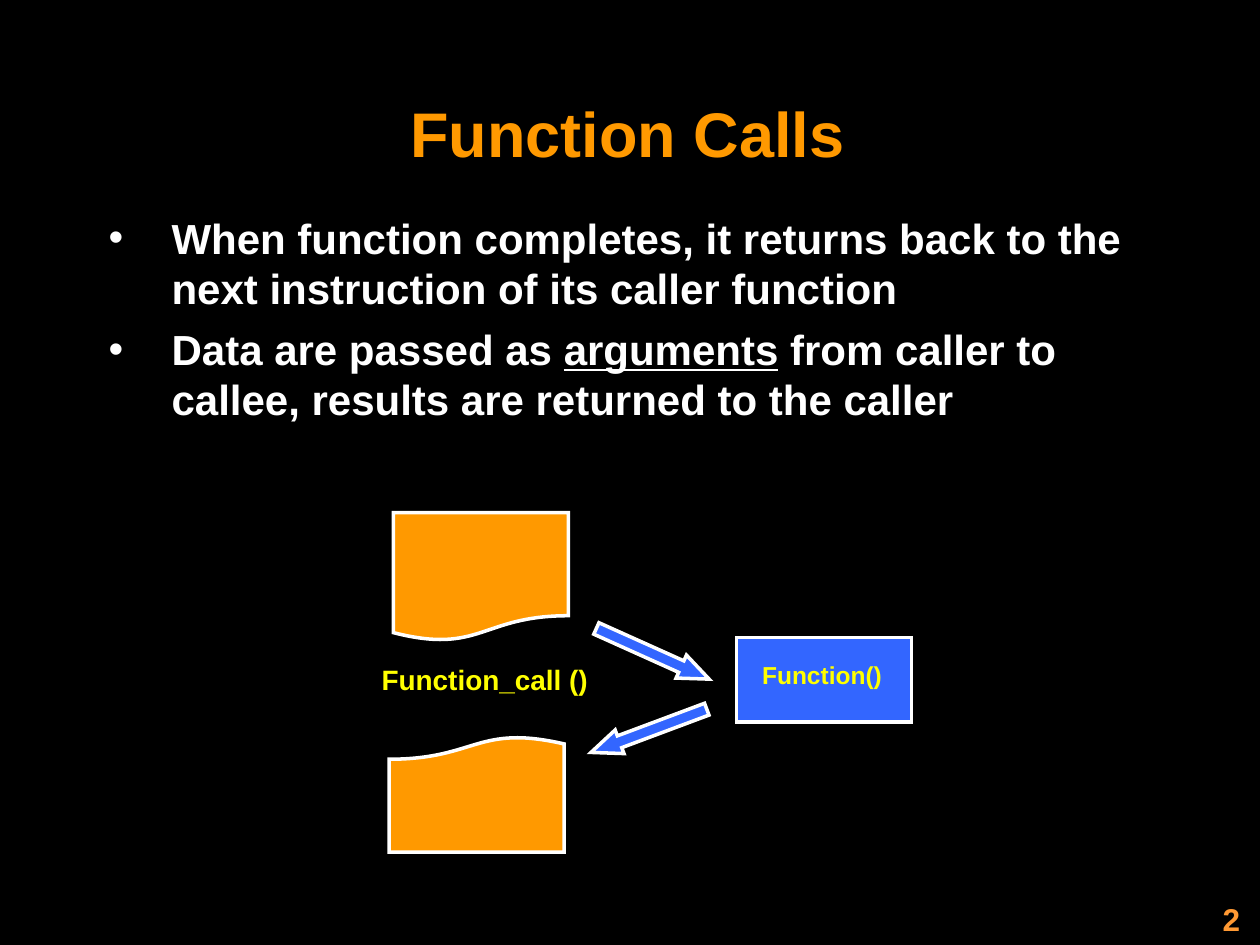
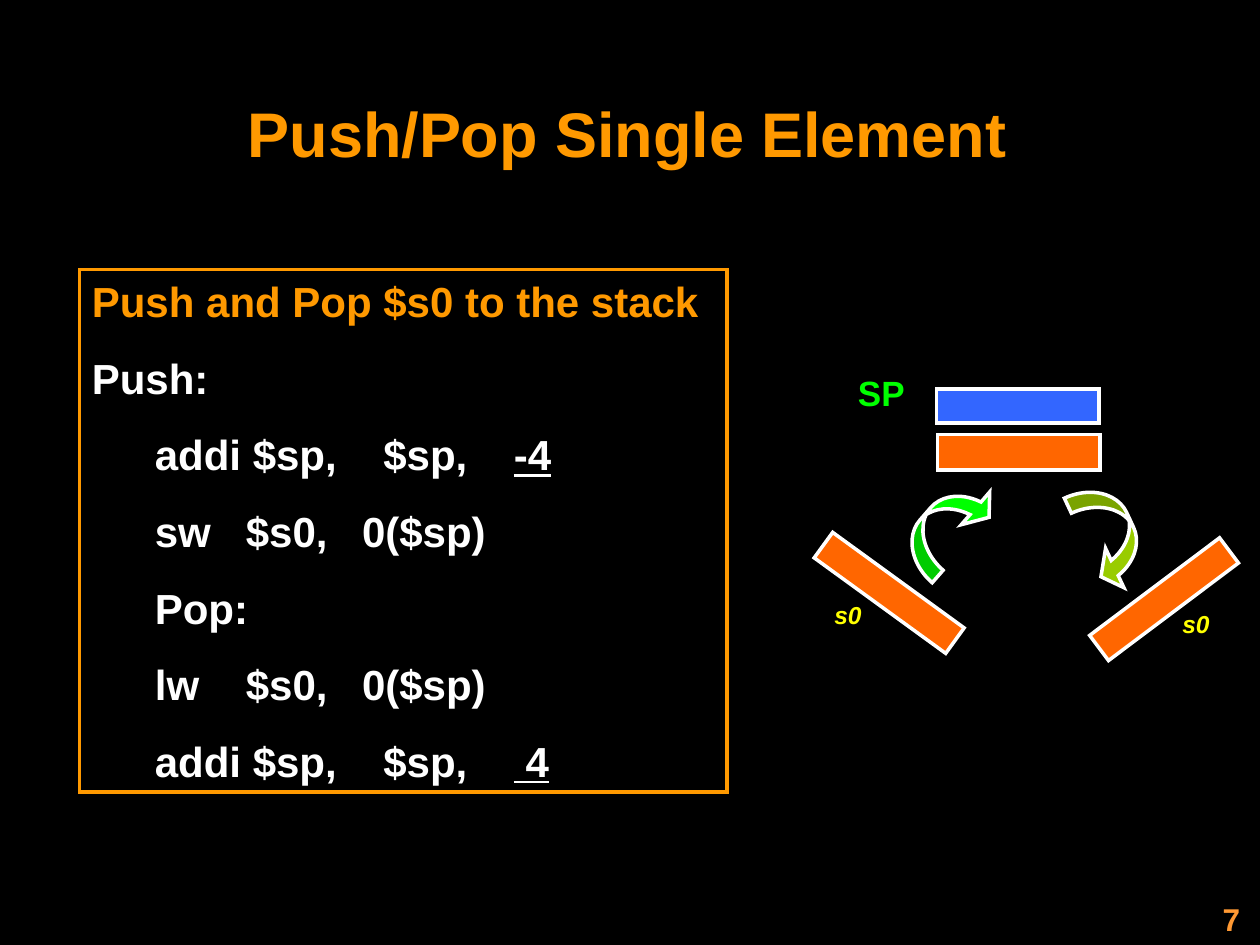
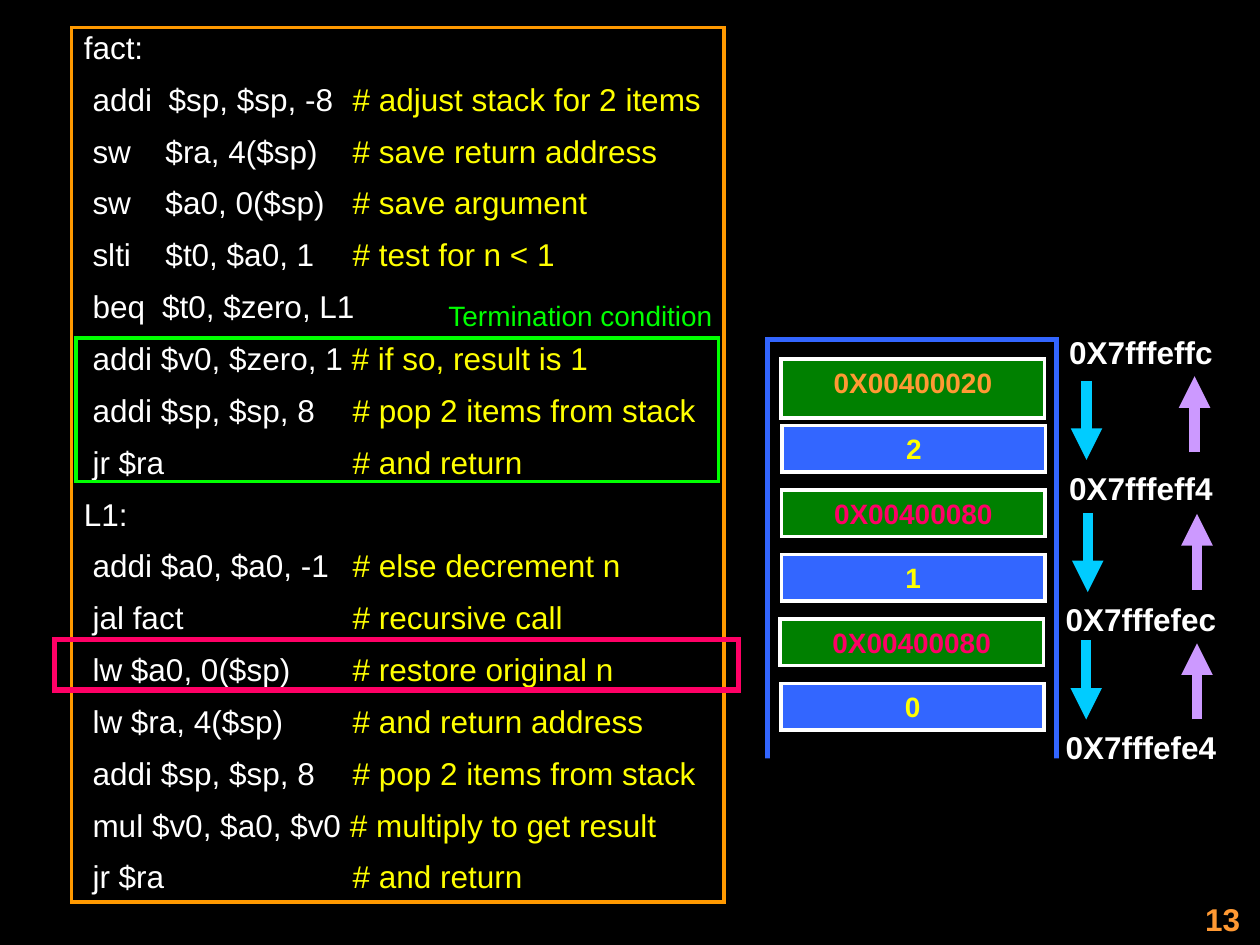
from lxml.etree import SubElement
from pptx import Presentation
from pptx.dml.color import RGBColor
from pptx.enum.shapes import MSO_CONNECTOR, MSO_SHAPE
from pptx.enum.text import MSO_ANCHOR, PP_ALIGN
from pptx.oxml.ns import qn
from pptx.util import Pt

# Colours and font
FONT = "Arial"
BLACK = RGBColor(0x00, 0x00, 0x00)
WHITE = RGBColor(0xFF, 0xFF, 0xFF)
AMBER = RGBColor(0xFF, 0x99, 0x00)
PEACH = RGBColor(0xFF, 0x99, 0x33)
ORANGE = RGBColor(0xFF, 0x66, 0x00)
YELLOW = RGBColor(0xFF, 0xFF, 0x00)
BLUE = RGBColor(0x33, 0x66, 0xFF)
LIME = RGBColor(0x00, 0xFF, 0x00)
MOSS = RGBColor(0x99, 0xCC, 0x00)
GREEN = RGBColor(0x00, 0x80, 0x00)
PINK = RGBColor(0xFF, 0x00, 0x66)
CYAN = RGBColor(0x00, 0xCC, 0xFF)
LILAC = RGBColor(0xCC, 0x99, 0xFF)

# Slide 1: function calls. Paragraphs are lists of (text, changes)
LINE = {"underline": True}
POINTS = [
    [("When function completes, it returns back to the next instruction "
      "of its caller function", {})],
    [("Data are passed as ", {}), ("arguments", LINE),
     (" from caller to callee, results are returned to the caller", {})],
]
PAGES = [((224.8, 293, 100, 73.4), 0), ((222.4, 420.7, 100, 66.2), 180)]
FLOWS = [((335.5, 410.4, 70.6, 14.4), 159.5), ((337.7, 366.4, 70.6, 14.4), 24.2)]
LABELS = [("Function_call ()", (210.8, 375, 132.5, 26.6), 16),
          ("Function()", (428.4, 373.7, 82.8, 24.5), 14)]

# Slide 2: push and pop. Each line has its own tab stops
WIDE, TIGHT = (36, 166.6, 241.2), (36, 88, 154.4)
STEPS = [
    ([("Push and Pop $s0 to the stack", {"color": AMBER})], ()),
    ([("Push:", {})], ()),
    ([("\taddi $sp,\t$sp,\t", {}), ("-4", LINE)], WIDE),
    ([("\tsw\t$s0,\t0($sp)", {})], TIGHT),
    ([("\tPop:", {})], TIGHT),
    ([("\tlw\t$s0,\t0($sp)", {})], TIGHT),
    ([("\taddi $sp,\t$sp,\t", {}), (" 4", LINE)], WIDE),
]
BARS = [((535, 222.3, 92.9, 19.4), 0, BLUE), ((535.7, 248.4, 92.9, 20.2), 0, ORANGE),
        ((461.7, 329.8, 92.9, 18), 36, ORANGE), ((618.7, 333.4, 92.9, 18), 143.1, ORANGE)]
CURLS = [((511.2, 285.8, 61.9, 28.8), 311, LIME), ((603.4, 292.3, 61.9, 28.8), 65, MOSS)]
BEND = (0.33, 0.86, 0.32)
NAMES = [(465.1, 339.1), (664, 344.2)]

# Slide 3: code, comment, tab stop of the operands if any.
# Code that ends in a space has its comment right after it.
NOTE = 153.6
CODE = [
    ("fact:", "", 0),
    (" addi\t$sp, $sp, -8", "# adjust stack for 2 items", 48.5),
    (" sw\t$ra, 4($sp)", "# save return address", 46.7),
    (" sw\t$a0, 0($sp)", "# save argument", 46.7),
    (" slti\t$t0, $a0, 1", "# test for n < 1", 46.7),
    (" beq\t$t0, $zero, L1", "", 44.7),
    (" addi $v0, $zero, 1 ", "# if so, result is 1", 0),
    (" addi $sp, $sp, 8", "# pop 2 items from stack", 0),
    (" jr $ra", "# and return", 0),
    ("L1:", "", 0),
    (" addi $a0, $a0, -1", "# else decrement n", 0),
    (" jal fact", "# recursive call", 0),
    (" lw $a0, 0($sp)", "# restore original n", 0),
    (" lw $ra, 4($sp)", "# and return address", 0),
    (" addi $sp, $sp, 8", "# pop 2 items from stack", 0),
    (" mul $v0, $a0, $v0 ", "# multiply to get result", 0),
    (" jr $ra", "# and return", 0),
]
CELLS = [("2", 447, BLUE, YELLOW), ("0X00400080", 446.6, GREEN, PINK),
         ("1", 446.6, BLUE, YELLOW), ("0X00400080", 445.7, GREEN, PINK),
         ("0", 446.2, BLUE, YELLOW)]
SPOTS = [("0X7fffeffc", 186.5), ("0X7fffeff4", 264.4),
         ("0X7fffefec", 339.1), ("0X7fffefe4", 412.6)]
DOWN = [(620.9, 217.6), (621.6, 293.2), (620.7, 366)]
UP = [(684, 411.1), (684, 337.2), (682.6, 258.5)]


def miter(line):
    SubElement(line._get_or_add_ln(), qn("a:miter"), lim="800000")


def put(slide, kind, box, fill=None, edge=None, width=2, turn=0):
    shape = slide.shapes.add_shape(kind, *map(Pt, box))
    shape.rotation = turn
    shape.shadow.inherit = False
    if fill is None:
        shape.fill.background()
    else:
        shape.fill.solid()
        shape.fill.fore_color.rgb = fill
    if edge is None:
        shape.line.fill.background()
    else:
        shape.line.color.rgb = edge
        shape.line.width = Pt(width)
        miter(shape.line)
    return shape


def write(shape, paras, size, color=WHITE, bold=True, italic=False,
          align=PP_ALIGN.CENTER, before=0, lines=None, wrap=True,
          anchor=MSO_ANCHOR.TOP):
    """Fill a shape with paragraphs, given as a string or as lists of runs."""
    if isinstance(paras, str):
        paras = [[(paras, {})]]
    frame = shape.text_frame
    frame.word_wrap = wrap
    frame.vertical_anchor = anchor
    for i, runs in enumerate(paras):
        para = frame.add_paragraph() if i else frame.paragraphs[0]
        para.alignment = align
        para.space_before = Pt(before)
        if lines:
            para.line_spacing = lines
        for text, diff in runs:
            run = para.add_run()
            run.text = text
            font = run.font
            font.name, font.size = FONT, Pt(size)
            font.bold, font.italic = bold, italic
            font.underline = diff.get("underline", False)
            font.color.rgb = diff.get("color", color)
    return frame.paragraphs


def label(slide, text, box, size, **style):
    return write(slide.shapes.add_textbox(*map(Pt, box)), text, size, **style)


def stops(para, marks):
    tabs = SubElement(para._p.get_or_add_pPr(), qn("a:tabLst"))
    for mark in marks:
        SubElement(tabs, qn("a:tab"), pos=str(Pt(mark)), algn="l")


def bullet(para):
    props = para._p.get_or_add_pPr()
    props.set("marL", str(Pt(36)))
    props.set("indent", str(Pt(-36)))
    SubElement(props, qn("a:buFont"), typeface=FONT)
    SubElement(props, qn("a:buChar"), char="•")


def arrow(slide, x, top, end, color):
    line = slide.shapes.add_connector(
        MSO_CONNECTOR.STRAIGHT, Pt(x), Pt(top), Pt(x), Pt(end))
    line.line.color.rgb = color
    line.line.width = Pt(6)
    SubElement(line.line._get_or_add_ln(), qn("a:tailEnd"), type="triangle")
    SubElement(line._element.spPr, qn("a:effectLst"))


def start(deck, number, title=None):
    slide = deck.slides.add_slide(deck.slide_layouts[6])
    if title:
        label(slide, title, (52.6, 42.2, 612, 67), 36, color=AMBER,
              anchor=MSO_ANCHOR.MIDDLE)
    label(slide, str(number), (565.8, 510.5, 150, 36), 18, color=PEACH,
          align=PP_ALIGN.RIGHT)
    return slide


def calls(deck):
    slide = start(deck, 2, "Function Calls")
    for para in label(slide, POINTS, (55, 117.7, 612, 388), 24,
                      align=PP_ALIGN.LEFT, before=6):
        bullet(para)
    put(slide, MSO_SHAPE.RECTANGLE, (421, 364.3, 100, 48.2), BLUE, WHITE)
    for box, turn in PAGES:
        put(slide, MSO_SHAPE.FLOWCHART_DOCUMENT, box, AMBER, WHITE, turn=turn)
    for box, turn in FLOWS:
        flow = put(slide, MSO_SHAPE.RIGHT_ARROW, box, BLUE, WHITE, turn=turn)
        flow.adjustments[1] = 1.21
    for text, box, size in LABELS:
        label(slide, text, box, size, color=YELLOW, wrap=False)


def single(deck):
    slide = start(deck, 7, "Push/Pop Single Element")
    frame = put(slide, MSO_SHAPE.RECTANGLE, (45.4, 153.9, 370, 298.8), None, AMBER)
    paras = write(frame, [runs for runs, _ in STEPS], 24,
                  align=PP_ALIGN.LEFT, before=15)
    for para, (_, marks) in zip(paras, STEPS):
        if marks:
            stops(para, marks)
    # Stack and registers
    for box, turn, fill in BARS:
        put(slide, MSO_SHAPE.RECTANGLE, box, fill, WHITE, turn=turn)
    for box, turn, fill in CURLS:
        curl = put(slide, MSO_SHAPE.CURVED_DOWN_ARROW, box, fill, WHITE, turn=turn)
        for i, part in enumerate(BEND):
            curl.adjustments[i] = part
    label(slide, "SP", (483.1, 208.8, 41, 31.7), 20, color=LIME, wrap=False)
    for x, y in NAMES:
        label(slide, "s0", (x, y, 38.9, 24.5), 14, color=YELLOW, italic=True)


def fact(deck):
    slide = start(deck, 13)
    rect = MSO_SHAPE.RECTANGLE
    # Listing
    rows = []
    for code, note, _ in CODE:
        gap = "\t" if note and not code.endswith(" ") else ""
        rows.append([(code + gap, {})] + ([(note, {"color": YELLOW})] if note else []))
    frame = put(slide, rect, (40.8, 15.8, 373, 499.7), None, AMBER)
    paras = write(frame, rows, 18, bold=False, align=PP_ALIGN.LEFT,
                  before=11.25, lines=0.85)
    for para, (_, _, mark) in zip(paras, CODE):
        stops(para, (mark, NOTE) if mark else (NOTE,))
    label(slide, "Termination condition", (248.2, 167.3, 167, 26.6), 16,
          color=LIME, bold=False, wrap=False)
    put(slide, rect, (43.4, 193.1, 367.2, 82.1), None, LIME)
    # Stack, open at the bottom
    put(slide, rect, (438.7, 194.2, 164.9, 244.8), None, BLUE, 3)
    put(slide, rect, (433.4, 433.4, 174.2, 23), BLACK)
    cell = put(slide, rect, (446.4, 205.2, 150.5, 33.8), GREEN, WHITE)
    write(cell, "0X00400020", 16, color=PEACH)
    for i, (text, x, fill, color) in enumerate(CELLS):
        cell = put(slide, rect, (x, 243.1 + 36.9 * i, 150.5, 26.6), fill, WHITE)
        write(cell, text, 16, color=color)
    # Addresses and moves of the pointer
    for text, y in SPOTS:
        label(slide, text, (584, y, 136, 28.8), 18)
    put(slide, rect, (31, 365.5, 391, 28.8), None, PINK, 3)
    for x, y in DOWN:
        arrow(slide, x, y, y + 45.2, CYAN)
    for x, y in UP:
        arrow(slide, x, y, y - 43.5, LILAC)


def main():
    deck = Presentation()
    deck.slide_width, deck.slide_height = Pt(720), Pt(540)
    back = deck.slide_master.background.fill
    back.solid()
    back.fore_color.rgb = BLACK
    for build in (calls, single, fact):
        build(deck)
    deck.save("out.pptx")


if __name__ == "__main__":
    main()
